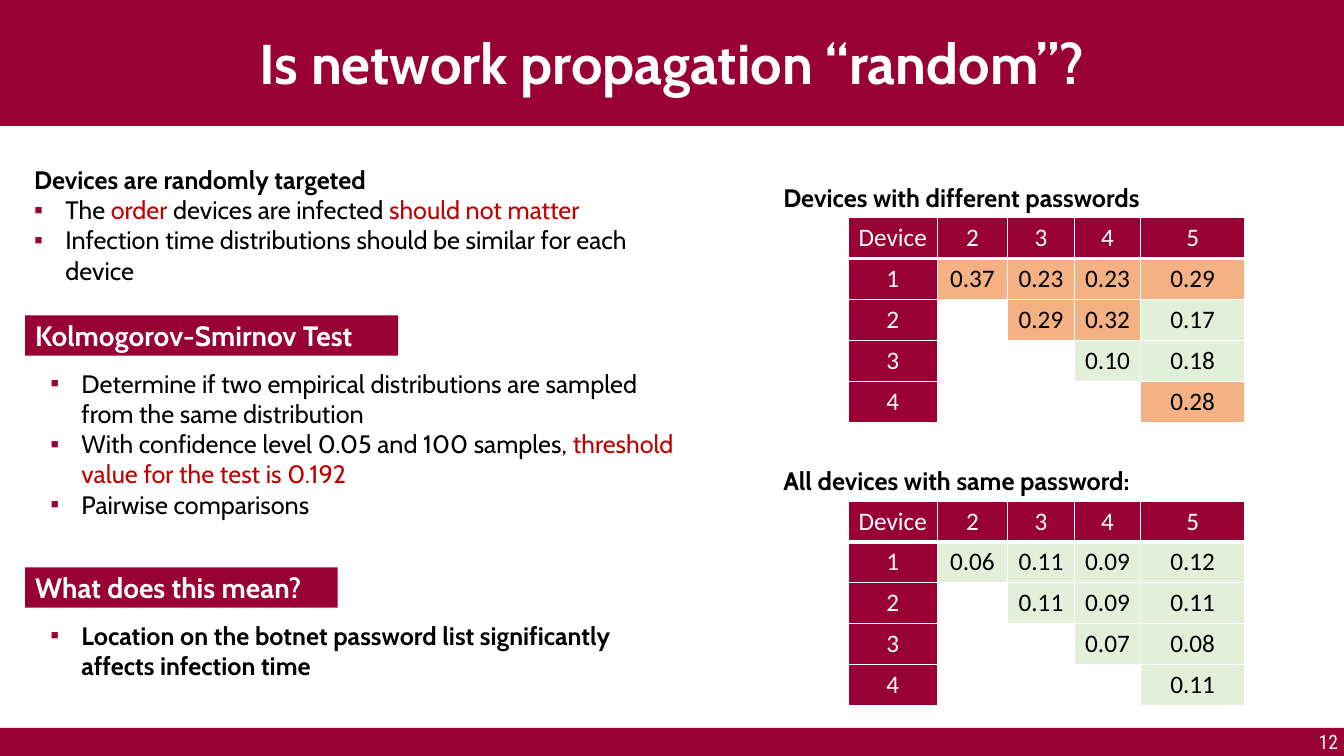
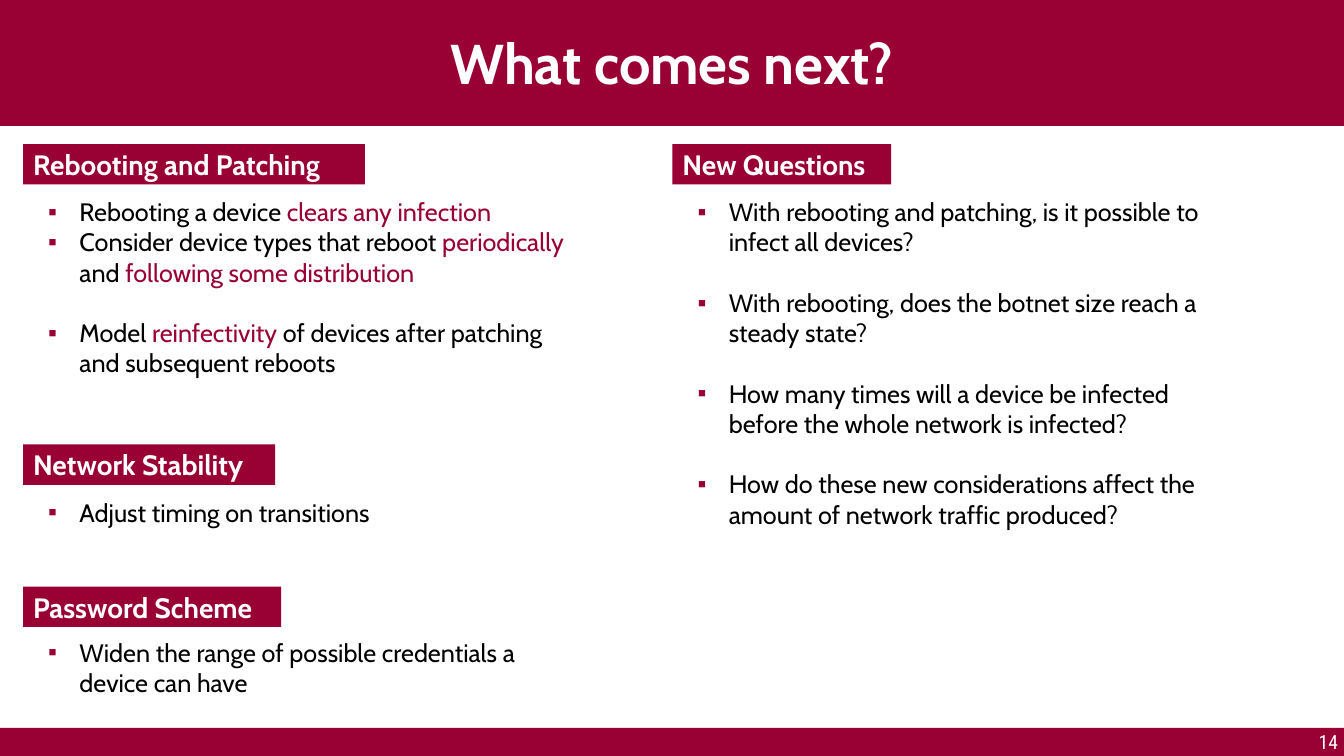
from lxml import etree
from pptx import Presentation
from pptx.dml.color import RGBColor
from pptx.enum.shapes import MSO_SHAPE
from pptx.enum.text import MSO_ANCHOR, PP_ALIGN
from pptx.oxml.ns import qn
from pptx.util import Emu, Pt

RECT = MSO_SHAPE.RECTANGLE
MIDDLE = MSO_ANCHOR.MIDDLE
CENTER, LEFT = PP_ALIGN.CENTER, PP_ALIGN.LEFT

SCALE = 9144
SLIDE_W, SLIDE_H = 1333, 750
WINE, RED, WHITE, BLACK = "990033", "C00000", "FFFFFF", "000000"
ORANGE, GREEN = "F4B183", "E2F0D9"
THRESHOLD = 0.192
BULLET_INDENT = 31
LINE_GAP = 21.6

TITLE = {"name": "Cabin", "size": Pt(40), "bold": True}
TAG = {"name": "Cabin", "size": Pt(20), "bold": True}
BODY = {"name": "Cabin", "size": Pt(18), "bold": False}
STRONG = {**BODY, "bold": True}
CELL = {"name": "Calibri", "size": Pt(18), "bold": False}
NUMBER = {"name": "Roboto Condensed", "size": Pt(14), "bold": False}

COLUMNS = [89, 69, 67, 65, 104]
HEADER = ["Device", "2", "3", "4", "5"]
DIFFERENT = [
    ["0.37", "0.23", "0.23", "0.29"],
    ["0.29", "0.32", "0.17"],
    ["0.10", "0.18"],
    ["0.28"],
]
SAME = [
    ["0.06", "0.11", "0.09", "0.12"],
    ["0.11", "0.09", "0.11"],
    ["0.07", "0.08"],
    ["0.11"],
]


def px(n):
    """Turn px into EMU."""
    return Emu(n * SCALE)


def rgb(color):
    """Turn a hex string into a colour."""
    return RGBColor.from_string(color)


def set_fill(target, color):
    """Give a shape or cell a solid fill."""
    target.fill.solid()
    target.fill.fore_color.rgb = rgb(color)


def add_bullet(p):
    """Give a paragraph a hanging square bullet."""
    pPr = p._p.get_or_add_pPr()
    pPr.set("marL", str(px(BULLET_INDENT)))
    pPr.set("indent", str(-px(BULLET_INDENT)))
    clr = etree.SubElement(pPr, qn("a:buClr"))
    etree.SubElement(clr, qn("a:srgbClr"), val=WINE)
    etree.SubElement(pPr, qn("a:buFont"), typeface="Arial")
    etree.SubElement(pPr, qn("a:buChar"), char="▪")


def write(tf, paras, fmt, color=BLACK, accent=WINE, align=LEFT, bullet=False, gaps=()):
    """Append paragraphs, with text between bars in the accent colour."""
    for i, text in enumerate(paras):
        p = tf.paragraphs[-1]
        if p.runs:
            p = tf.add_paragraph()
        p.alignment = align
        if i in gaps:
            p.space_before = Pt(LINE_GAP)
        if bullet:
            add_bullet(p)
        for j, part in enumerate(text.split("|")):
            if part:
                r = p.add_run()
                r.text = part
                for name, value in fmt.items():
                    setattr(r.font, name, value)
                r.font.color.rgb = rgb(accent if j % 2 else color)


def add_box(s, x, y, w, h):
    """Add a wrapping text box and return its text frame."""
    tf = s.shapes.add_textbox(px(x), px(y), px(w), px(h)).text_frame
    tf.word_wrap = True
    return tf


def add_bar(s, x, y, w, h):
    """Add a flat wine rectangle and return its text frame."""
    sp = s.shapes.add_shape(RECT, px(x), px(y), px(w), px(h))
    sp.shadow.inherit = False
    set_fill(sp, WINE)
    sp.line.fill.background()
    tf = sp.text_frame
    tf.word_wrap = True
    tf.vertical_anchor = MIDDLE
    return tf


def add_frame(prs, title, number):
    """Add a slide with title band, footer band and slide number."""
    s = prs.slides.add_slide(prs.slide_layouts[6])
    add_bar(s, 0, 722, SLIDE_W, 28)
    write(add_bar(s, 0, -2, SLIDE_W, 127), [title], TITLE, WHITE, align=CENTER)
    write(add_box(s, 1298, 719, 45, 34), [number], NUMBER, WHITE)
    return s


def add_section(s, x, y, tag_w, heading, body_w, body_h, paras, fmt=BODY, drop=47, **style):
    """Add a heading tag with a bulleted text below it."""
    write(add_bar(s, x, y, tag_w, 40), [heading], TAG, WHITE)
    body = add_box(s, x + 15, y + drop, body_w, body_h)
    write(body, paras, fmt, bullet=True, **style)


def set_borders(cell, bottom):
    """Give a cell white borders, 1 pt except at the bottom."""
    tcPr = cell._tc.get_or_add_tcPr()
    for i, (side, width) in enumerate((("L", 1), ("R", 1), ("T", 1), ("B", bottom))):
        ln = etree.Element(qn("a:ln" + side), w=str(Pt(width)))
        fill = etree.SubElement(ln, qn("a:solidFill"))
        etree.SubElement(fill, qn("a:srgbClr"), val=WHITE)
        tcPr.insert(i, ln)


def cell_colors(row, col, text):
    """Return the fill and text colour of a cell."""
    if row == 0 or col == 0:
        return WINE, WHITE
    if not text:
        return WHITE, BLACK
    return (ORANGE if float(text) > THRESHOLD else GREEN), BLACK


def add_comparison(s, x, y, caption, values):
    """Add a caption and its triangular table of test values."""
    write(add_box(s, x, y, 419, 40), [caption], STRONG)
    rows = [HEADER]
    for i, line in enumerate(values):
        rows.append([str(i + 1)] + [""] * i + line)
    size = len(rows), len(COLUMNS)
    table = s.shapes.add_table(*size, px(x + 74), px(y + 40), px(sum(COLUMNS)), px(203)).table
    table.first_row = table.horz_banding = False
    for column, width in zip(table.columns, COLUMNS):
        column.width = px(width)
    for i, line in enumerate(rows):
        for j, text in enumerate(line):
            cell = table.cell(i, j)
            fill, color = cell_colors(i, j, text)
            set_fill(cell, fill)
            set_borders(cell, 1 if i else 3)
            write(cell.text_frame, [text], CELL, color, align=CENTER)


def add_random_slide(prs):
    """Build the slide on the randomness test."""
    s = add_frame(prs, "Is network propagation “random”?", "12")
    intro = add_box(s, 24, 158, 674, 131)
    write(intro, ["Devices are randomly targeted"], STRONG)
    write(intro, [
        "The |order| devices are infected |should not matter",
        "Infection time distributions should be similar for each device",
    ], BODY, accent=RED, bullet=True)
    add_section(s, 25, 313, 370, "Kolmogorov-Smirnov Test", 642, 162, [
        "Determine if two empirical distributions are sampled from the same distribution",
        "With confidence level 0.05 and 100 samples, |threshold value for the test is 0.192",
        "Pairwise comparisons",
    ], accent=RED)
    add_section(s, 25, 563, 310, "What does this mean?", 642, 71, [
        "Location on the botnet password list significantly affects infection time",
    ], STRONG)
    add_comparison(s, 767, 176, "Devices with different passwords", DIFFERENT)
    add_comparison(s, 767, 457, "All devices with same password:", SAME)


def add_next_slide(prs):
    """Build the slide on future work."""
    s = add_frame(prs, "What comes next?", "14")
    add_section(s, 23, 143, 339, "Rebooting and Patching", 545, 192, [
        "Rebooting a device |clears any infection",
        "Consider device types that reboot |periodically |and| following some distribution",
        "Model |reinfectivity| of devices after patching and subsequent reboots",
    ], gaps=(2,))
    add_section(s, 23, 441, 250, "Network Stability", 545, 40, [
        "Adjust timing on transitions",
    ])
    add_section(s, 23, 582, 256, "Password Scheme", 551, 71, [
        "Widen the range of possible credentials a device can have",
    ], drop=45)
    add_section(s, 667, 143, 217, "New Questions", 545, 374, [
        "With rebooting and patching, is it possible to infect all devices?",
        "With rebooting, does the botnet size reach a steady state?",
        "How many times will a device be infected before the whole network is infected?",
        "How do these new considerations affect the amount of network traffic produced?",
    ], gaps=(1, 2, 3))


def main():
    """Build and save the presentation."""
    prs = Presentation()
    prs.slide_width, prs.slide_height = px(SLIDE_W), px(SLIDE_H)
    add_random_slide(prs)
    add_next_slide(prs)
    prs.save("out.pptx")


if __name__ == "__main__":
    main()
